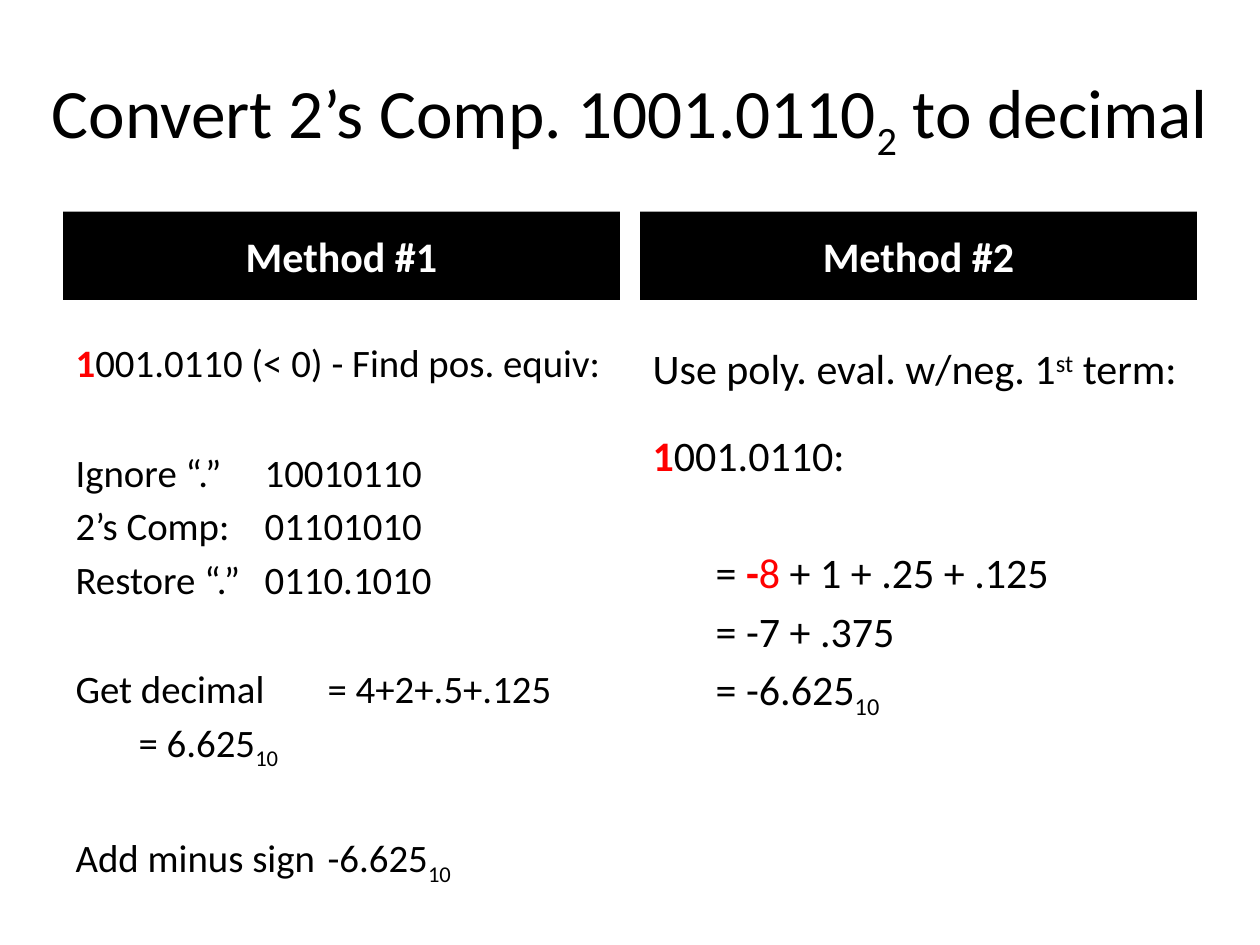
from dataclasses import dataclass

from lxml.etree import SubElement
from pptx import Presentation
from pptx.dml.color import RGBColor
from pptx.enum.text import MSO_ANCHOR as Anchor, MSO_AUTO_SIZE as AutoSize, PP_ALIGN as Align
from pptx.oxml.ns import qn
from pptx.shapes.placeholder import SlidePlaceholder
from pptx.text.text import _Paragraph as Paragraph
from pptx.util import Inches, Pt


@dataclass(frozen=True)
class Theme:
    font: str = "Calibri"
    black: RGBColor = RGBColor(0, 0, 0)
    white: RGBColor = RGBColor(255, 255, 255)
    red: RGBColor = RGBColor(255, 0, 0)
    title_size: float = 39.6
    header_size: float = 24
    subscript: int = -25
    superscript: int = 30
    tab_stops: tuple[float, ...] = (1, 2)


THEME = Theme()


@dataclass(frozen=True)
class Span:
    text: str
    color: RGBColor = THEME.black
    bold: bool = False
    baseline: int = 0


@dataclass(frozen=True)
class Line:
    spans: tuple[Span, ...]
    space_before: float = 0


@dataclass(frozen=True)
class Method:
    heading: str
    size: float
    top_inset: float
    lines: tuple[Line, ...]


@dataclass(frozen=True)
class Grid:
    left: float = 0.5
    column_width: float = 4.42
    column_step: float = 4.58
    header_top: float = 1.68
    header_height: float = 0.7
    body_height: float = 4.32

    def column_left(self, column: int) -> float:
        return self.left + column * self.column_step


GRID = Grid()
SIGN_BIT = Span("1", THEME.red, bold=True)
BASE_TEN = Span("10", baseline=THEME.subscript)

METHODS = (
    Method("Method #1", 22.2, 0.31, (
        Line((SIGN_BIT, Span("001.0110 (< 0) - Find pos. equiv:"))),
        Line((Span("Ignore “.”\t10010110"),), 35.8),
        Line((Span("2’s Comp:\t01101010"),), 4),
        Line((Span("Restore “.”\t0110.1010"),), 4),
        Line((Span("Get decimal\t= 4+2+.5+.125"),), 35.8),
        Line((Span("\t= 6.625"), BASE_TEN), 4),
        Line((Span("Add minus sign\t-6.625"), BASE_TEN), 35.8),
    )),
    Method("Method #2", 24, 0.34, (
        Line((Span("Use poly. eval. w/neg. 1"), Span("st", baseline=THEME.superscript), Span(" term:"))),
        Line((SIGN_BIT, Span("001.0110:")), 21),
        Line((Span("\t= "), Span("-", THEME.red, bold=True), Span("8", THEME.red),
              Span(" + 1 + .25 + .125")), 38.1),
        Line((Span("\t= -7 + .375"),), 4.4),
        Line((Span("\t= -6.625"), BASE_TEN), 4.4),
    )),
)


def place(shape: SlidePlaceholder, left: float, top: float, width: float, height: float,
          anchor: Anchor) -> None:
    shape.left, shape.top = Inches(left), Inches(top)
    shape.width, shape.height = Inches(width), Inches(height)
    shape.text_frame.auto_size = AutoSize.NONE
    shape.text_frame.word_wrap = True
    shape.text_frame.vertical_anchor = anchor


def write_spans(paragraph: Paragraph, spans: tuple[Span, ...], size: float) -> None:
    for span in spans:
        run = paragraph.add_run()
        run.text = span.text
        run.font.name = THEME.font
        run.font.size = Pt(size)
        run.font.bold = span.bold
        run.font.color.rgb = span.color
        if span.baseline:
            run.font._element.set("baseline", f"{span.baseline * 1000}")


def set_plain_list_style(paragraph: Paragraph) -> None:
    properties = paragraph._p.get_or_add_pPr()
    properties.set("marL", "0")
    properties.set("indent", "0")
    SubElement(properties, qn("a:buNone"))
    tab_list = SubElement(properties, qn("a:tabLst"))
    for stop in THEME.tab_stops:
        SubElement(tab_list, qn("a:tab"), pos=str(Inches(stop)), algn="l")


def draw_heading(shape: SlidePlaceholder, spans: tuple[Span, ...], size: float) -> None:
    paragraph = shape.text_frame.paragraphs[0]
    paragraph.alignment = Align.CENTER
    paragraph.space_before = Pt(0)
    write_spans(paragraph, spans, size)


def draw_method(method: Method, column: int, header: SlidePlaceholder, body: SlidePlaceholder) -> None:
    left = GRID.column_left(column)
    place(header, left, GRID.header_top, GRID.column_width, GRID.header_height, Anchor.MIDDLE)
    header.fill.solid()
    header.fill.fore_color.rgb = THEME.black
    draw_heading(header, (Span(method.heading, THEME.white, bold=True),), THEME.header_size)

    body_top = GRID.header_top + GRID.header_height
    place(body, left, body_top, GRID.column_width, GRID.body_height, Anchor.TOP)
    text_frame = body.text_frame
    text_frame.margin_top = Inches(method.top_inset)
    for index, line in enumerate(method.lines):
        paragraph = text_frame.add_paragraph() if index else text_frame.paragraphs[0]
        set_plain_list_style(paragraph)
        paragraph.space_before = Pt(line.space_before)
        write_spans(paragraph, line.spans, method.size)


def main() -> None:
    presentation = Presentation()
    presentation.slide_width, presentation.slide_height = Inches(10), Inches(7.5)
    slide = presentation.slides.add_slide(presentation.slide_layouts.get_by_name("Comparison"))
    title, *columns = slide.placeholders
    place(title, 0, 0.3, 10, 1.25, Anchor.MIDDLE)
    draw_heading(title, (Span("Convert 2’s Comp. 1001.0110"), Span("2", baseline=THEME.subscript),
                         Span(" to decimal")), THEME.title_size)
    for column, method in enumerate(METHODS):
        header, body = columns[2 * column:2 * column + 2]
        draw_method(method, column, header, body)
    presentation.save("out.pptx")


if __name__ == "__main__":
    main()
